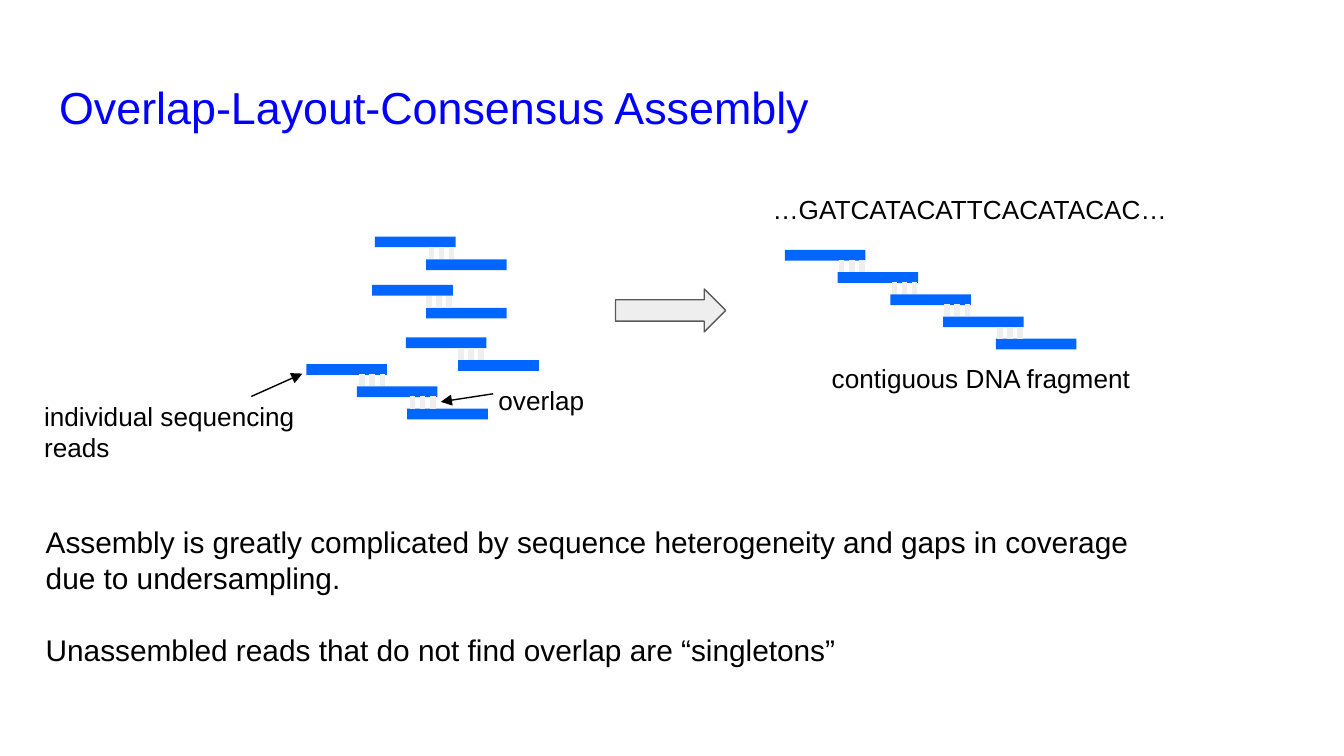
from pptx import Presentation
from pptx.dml.color import RGBColor
from pptx.enum.shapes import MSO_CONNECTOR, MSO_SHAPE
from pptx.enum.text import MSO_ANCHOR, MSO_AUTO_SIZE, PP_ALIGN
from pptx.oxml.ns import qn
from pptx.util import Inches, Pt
from lxml.etree import SubElement

COLORS = {
    "title": "0000FF",
    "text": "000000",
    "read": "0066FF",
    "overlap": "EEEEEE",
    "outline": "595959",
}
COLORS = {part: RGBColor.from_string(value) for part, value in COLORS.items()}

# Widescreen page, 16 to 9
prs = Presentation()
prs.slide_width = Inches(10)
prs.slide_height = prs.slide_width * 9 // 16
slide = prs.slides.add_slide(prs.slide_layouts[1])
shapes = slide.shapes


def write(holder, box, paragraphs, size, color, inset, gap=0):
    """Place a text holder and fill it with left-aligned, unbulleted paragraphs."""
    holder.left, holder.top, holder.width, holder.height = map(Inches, box)
    frame = holder.text_frame
    frame_format = {
        "word_wrap": True, "auto_size": MSO_AUTO_SIZE.NONE,
        "vertical_anchor": MSO_ANCHOR.TOP,
        "margin_left": Inches(0.1), "margin_right": Inches(0.1),
        "margin_top": Inches(inset), "margin_bottom": Inches(inset),
    }
    for name, value in frame_format.items():
        setattr(frame, name, value)
    for index, text in enumerate(paragraphs):
        paragraph = frame.paragraphs[0] if index == 0 else frame.add_paragraph()
        properties = paragraph._p.get_or_add_pPr()
        properties.set("marL", "0")
        properties.set("indent", "0")
        SubElement(properties, qn("a:buNone"))
        paragraph.alignment = PP_ALIGN.LEFT
        paragraph.line_spacing = 1.0
        paragraph.space_before = Pt(gap if index else 0)
        run = paragraph.add_run()
        run.text = text
        for name, value in {"name": "Arial", "size": Pt(size), "bold": False}.items():
            setattr(run.font, name, value)
        run.font.color.rgb = color


def draw_line(start, end, color, width, arrow=False):
    """Draw a straight line, with an arrowhead at its end if asked."""
    line = shapes.add_connector(MSO_CONNECTOR.STRAIGHT, *map(Inches, start + end))
    line.line.color.rgb = color
    line.line.width = Pt(width)
    if arrow:
        SubElement(line.line._get_or_add_ln(), qn("a:tailEnd"), type="triangle")
    SubElement(line._element.spPr, qn("a:effectLst"))


# Title and explanation
write(shapes.title, (0.34, 0.49, 9.32, 0.63), ["Overlap-Layout-Consensus Assembly"],
      24, COLORS["title"], 0.1)
explanation = [
    "Assembly is greatly complicated by sequence heterogeneity and gaps in coverage "
    "due to undersampling.",
    "Unassembled reads that do not find overlap are “singletons”",
]
write(slide.placeholders[1], (0.24, 3.8, 8.44, 1.32), explanation,
      16, COLORS["text"], 0.1, gap=19.3)

# Chains of overlapping reads: first read, last read, number of reads, rung offset
read_chains = [
    ((2.79, 1.76), (3.17, 1.93), 2, 0.04),
    ((2.77, 2.12), (3.17, 2.29), 2, 0.02),
    ((3.02, 2.51), (3.41, 2.68), 2, 0.02),
    ((2.28, 2.71), (3.03, 3.04), 3, 0.04),
    ((5.84, 1.86), (7.41, 2.52), 5, 0.03),
]
for (left, top), (last_left, last_top), count, offset in read_chains:
    across = (last_left - left) / (count - 1)
    down = (last_top - top) / (count - 1)
    starts = [(left + across * i, top + down * i) for i in range(count)]
    for x, y in starts:
        read = shapes.add_shape(MSO_SHAPE.RECTANGLE, *map(Inches, (x, y, 0.6, 0.08)))
        read.shadow.inherit = False
        read.fill.solid()
        read.fill.fore_color.rgb = COLORS["read"]
        read.line.fill.background()
    # Three rungs join each read to the one above it
    for x, y in starts[1:]:
        for rung in range(3):
            rung_x = x + offset + 0.15 * rung / 2
            draw_line((rung_x, y - 0.09), (rung_x, y), COLORS["overlap"], 3)

# Labels
labels = [
    ("…GATCATACATTCACATACAC…", (5.65, 1.39, 3.27, 0.22)),
    ("contiguous DNA fragment", (6.09, 2.65, 3.75, 0.27)),
    ("individual sequencing reads", (0.23, 2.93, 2.26, 0.22)),
    ("overlap", (3.61, 2.81, 0.89, 0.22)),
]
for label, box in labels:
    write(shapes.add_textbox(0, 0, 0, 0), box, [label], 14, COLORS["text"], 0.05)

# Pointers from the labels to a read and an overlap
for start, end in [((1.87, 2.95), (2.25, 2.78)), ((3.67, 2.93), (3.28, 2.99))]:
    draw_line(start, end, COLORS["text"], 0.75, arrow=True)

# Arrow from loose reads to the assembled fragment
assembly = shapes.add_shape(MSO_SHAPE.RIGHT_ARROW, *map(Inches, (4.58, 2.15, 0.82, 0.32)))
assembly.shadow.inherit = False
assembly.fill.solid()
assembly.fill.fore_color.rgb = COLORS["overlap"]
assembly.line.color.rgb = COLORS["outline"]
assembly.line.width = Pt(0.75)

prs.save("out.pptx")
